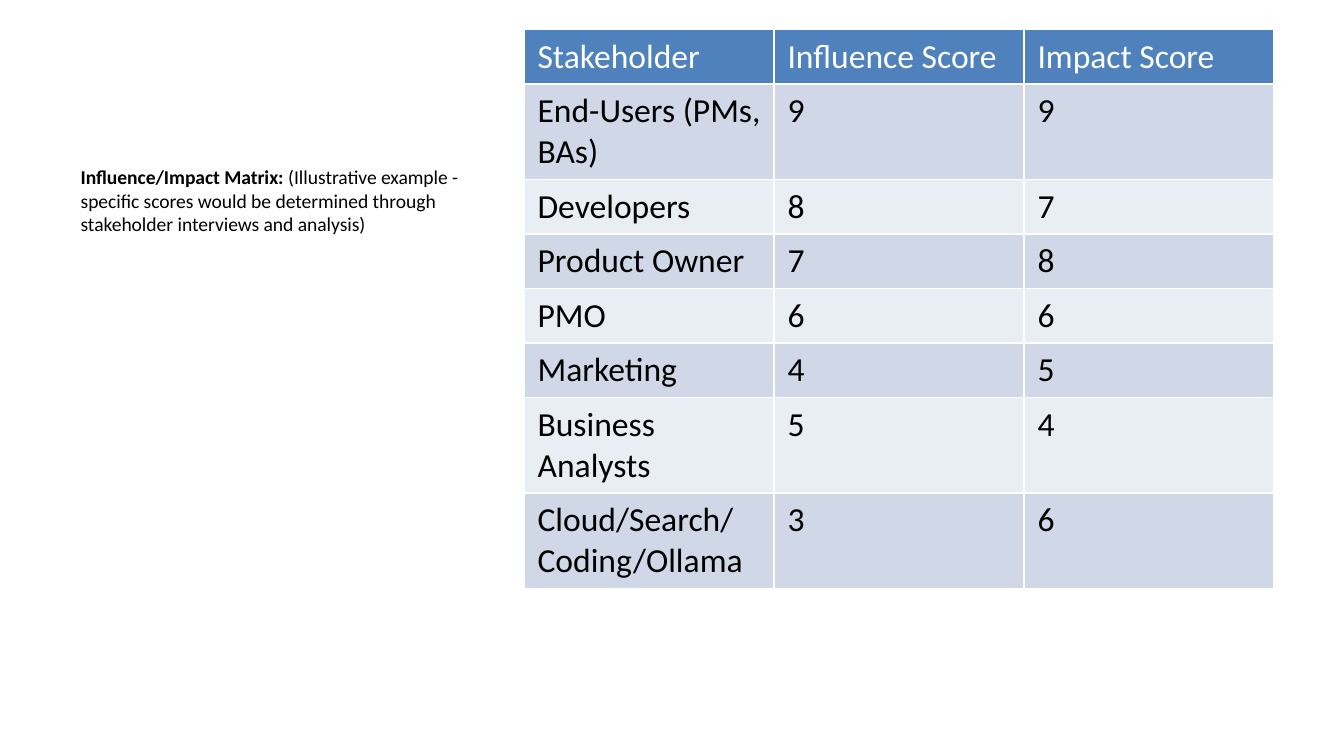
import pptx
import pptx.dml.color
import pptx.enum.text
import pptx.oxml
import pptx.oxml.ns
import pptx.util

COLORS = {
    "header": "4F81BD",
    "odd row": "D0D8E8",
    "even row": "E9EDF4",
    "header text": "FFFFFF",
    "text": "000000",
}
FONT = "Calibri"
CAPTION = [
    ("Influence/Impact Matrix:", True),
    (" (Illustrative example - specific scores would be determined through "
     "stakeholder interviews and analysis)", False),
]
SCORES = [
    ("Stakeholder", "Influence Score", "Impact Score"),
    ("End-Users (PMs, BAs)", 9, 9),
    ("Developers", 8, 7),
    ("Product Owner", 7, 8),
    ("PMO", 6, 6),
    ("Marketing", 4, 5),
    ("Business Analysts", 5, 4),
    ("Cloud/Search/Coding/Ollama", 3, 6),
]
COLUMN_WIDTH = 1.86
LINE_HEIGHT, CELL_PADDING = 0.3, 0.1
WRAP_LENGTH = 15  # longer stakeholder names take two lines


def rgb(name):
    return pptx.dml.color.RGBColor.from_string(COLORS[name])


def format_font(font, size, color):
    font.name = FONT
    font.size = pptx.util.Pt(size)
    font.color.rgb = rgb(color)


def add_caption(slide):
    body = slide.placeholders[1]
    body.left, body.top = pptx.util.Inches(0.5), pptx.util.Inches(1.18)
    body.width, body.height = pptx.util.Inches(3.29), pptx.util.Inches(3.85)
    frame = body.text_frame
    frame.word_wrap = True
    frame.auto_size = pptx.enum.text.MSO_AUTO_SIZE.NONE
    paragraph = frame.paragraphs[0]
    properties = paragraph._p.get_or_add_pPr()
    properties.set("marL", "0")
    properties.set("indent", "0")
    properties.append(pptx.oxml.parse_xml(
        f'<a:buNone {pptx.oxml.ns.nsdecls("a")}/>'))
    paragraph.space_before = pptx.util.Pt(0)
    format_font(paragraph.font, 10.5, "text")
    for text, bold in CAPTION:
        run = paragraph.add_run()
        run.text = text
        run.font.bold = bold


def add_score_table(slide):
    columns = len(SCORES[0])
    heights = [CELL_PADDING + LINE_HEIGHT * (2 if len(row[0]) > WRAP_LENGTH else 1)
               for row in SCORES]
    # The default table style supplies the white cell borders
    table = slide.shapes.add_table(
        len(SCORES), columns, pptx.util.Inches(3.9), pptx.util.Inches(0.22),
        pptx.util.Inches(COLUMN_WIDTH * columns),
        pptx.util.Inches(sum(heights))).table
    for column in table.columns:
        column.width = pptx.util.Inches(COLUMN_WIDTH)
    for row_index, values in enumerate(SCORES):
        table.rows[row_index].height = pptx.util.Inches(heights[row_index])
        if row_index == 0:
            fill, color = "header", "header text"
        else:
            fill, color = ("odd row" if row_index % 2 else "even row"), "text"
        for column_index, value in enumerate(values):
            cell = table.cell(row_index, column_index)
            cell.fill.solid()
            cell.fill.fore_color.rgb = rgb(fill)
            cell.text = str(value)
            paragraph = cell.text_frame.paragraphs[0]
            # Run fonts override the table style's own text format
            font = paragraph.runs[0].font
            format_font(font, 18, color)
            font.bold = False


def main():
    presentation = pptx.Presentation()
    # 16:9 page
    presentation.slide_width = pptx.util.Inches(10)
    presentation.slide_height = presentation.slide_width * 9 // 16
    slide = presentation.slides.add_slide(presentation.slide_layouts[1])

    # The slide has no title
    title = slide.shapes.title._element
    title.getparent().remove(title)

    add_caption(slide)
    add_score_table(slide)
    presentation.save("out.pptx")


if __name__ == "__main__":
    main()
